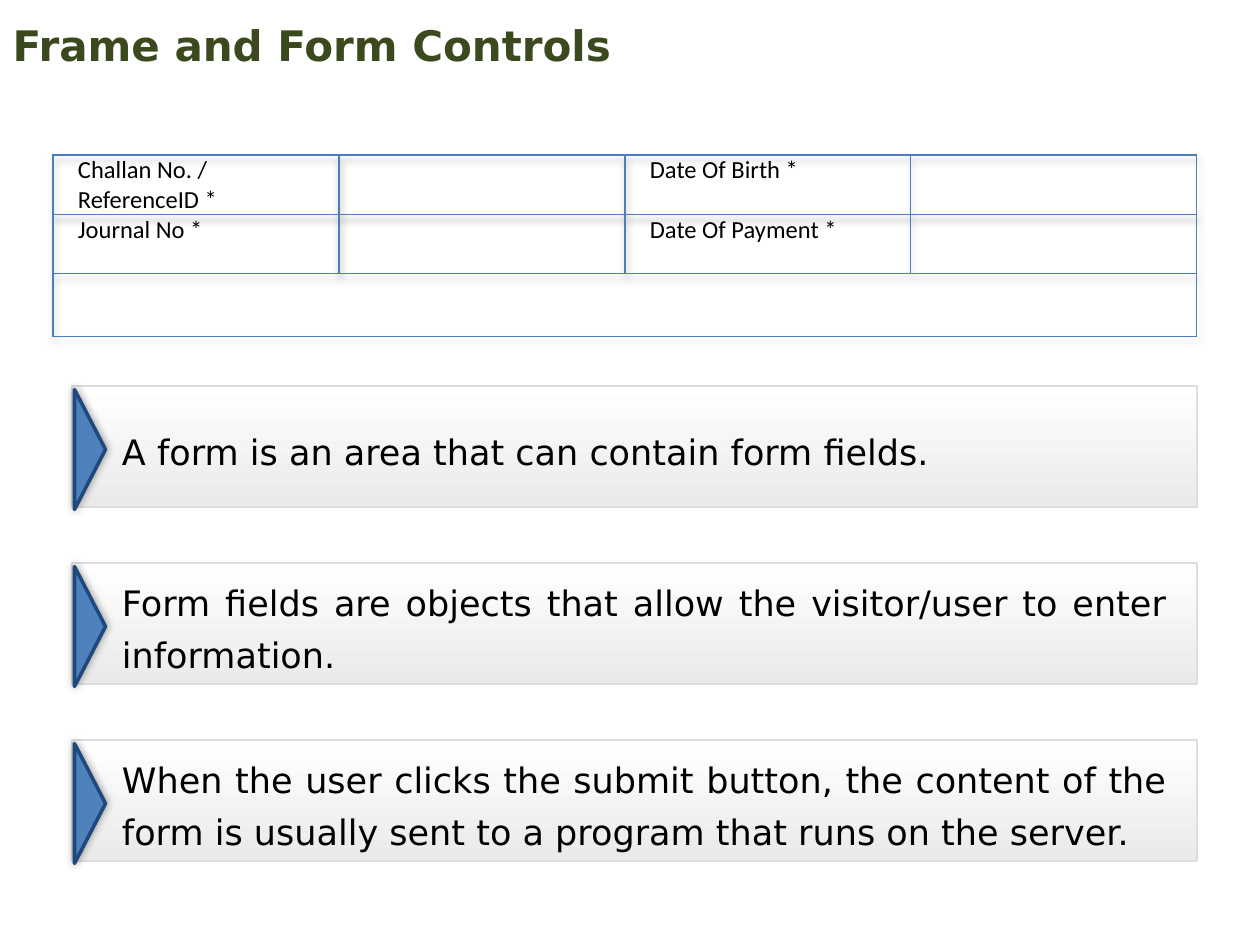
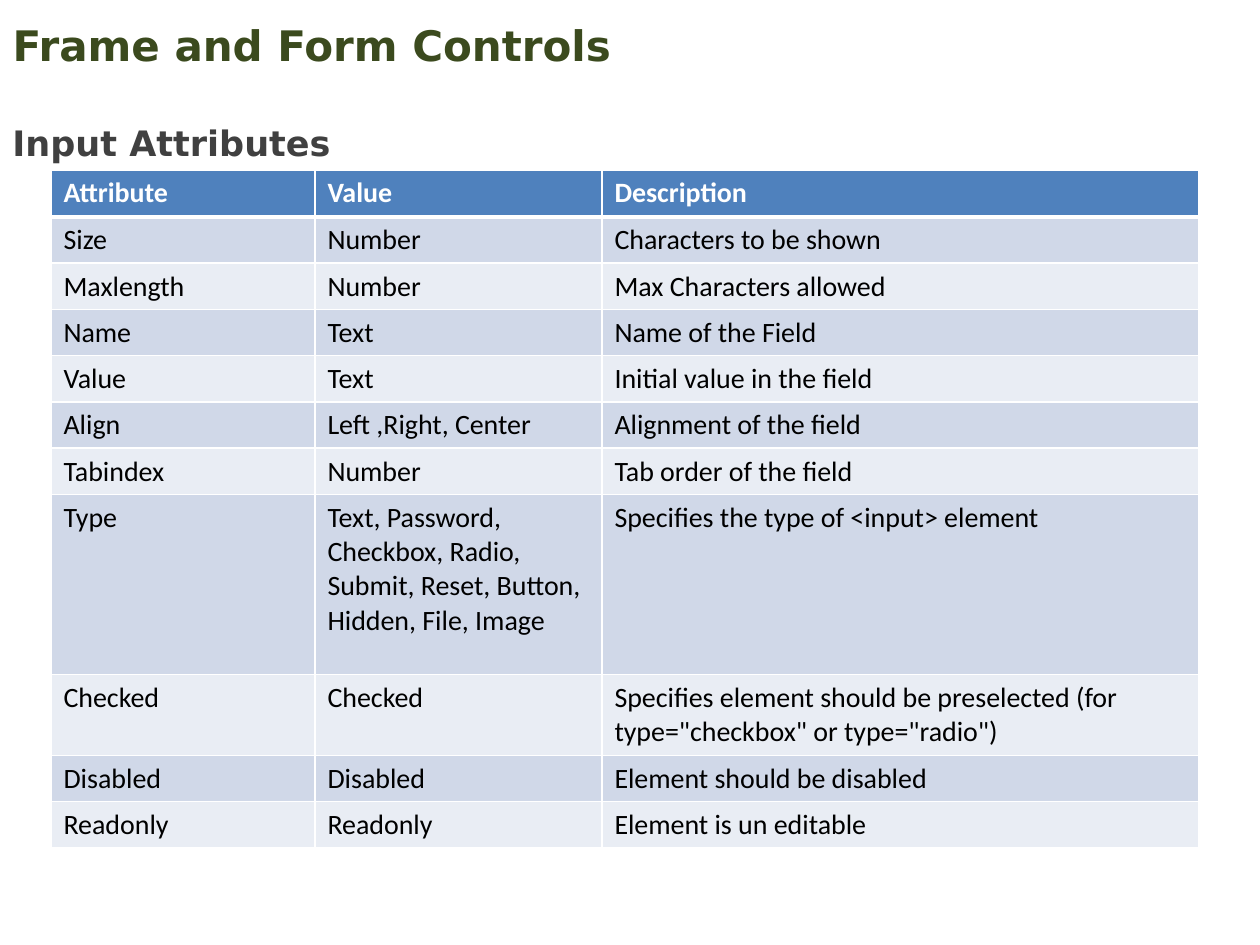
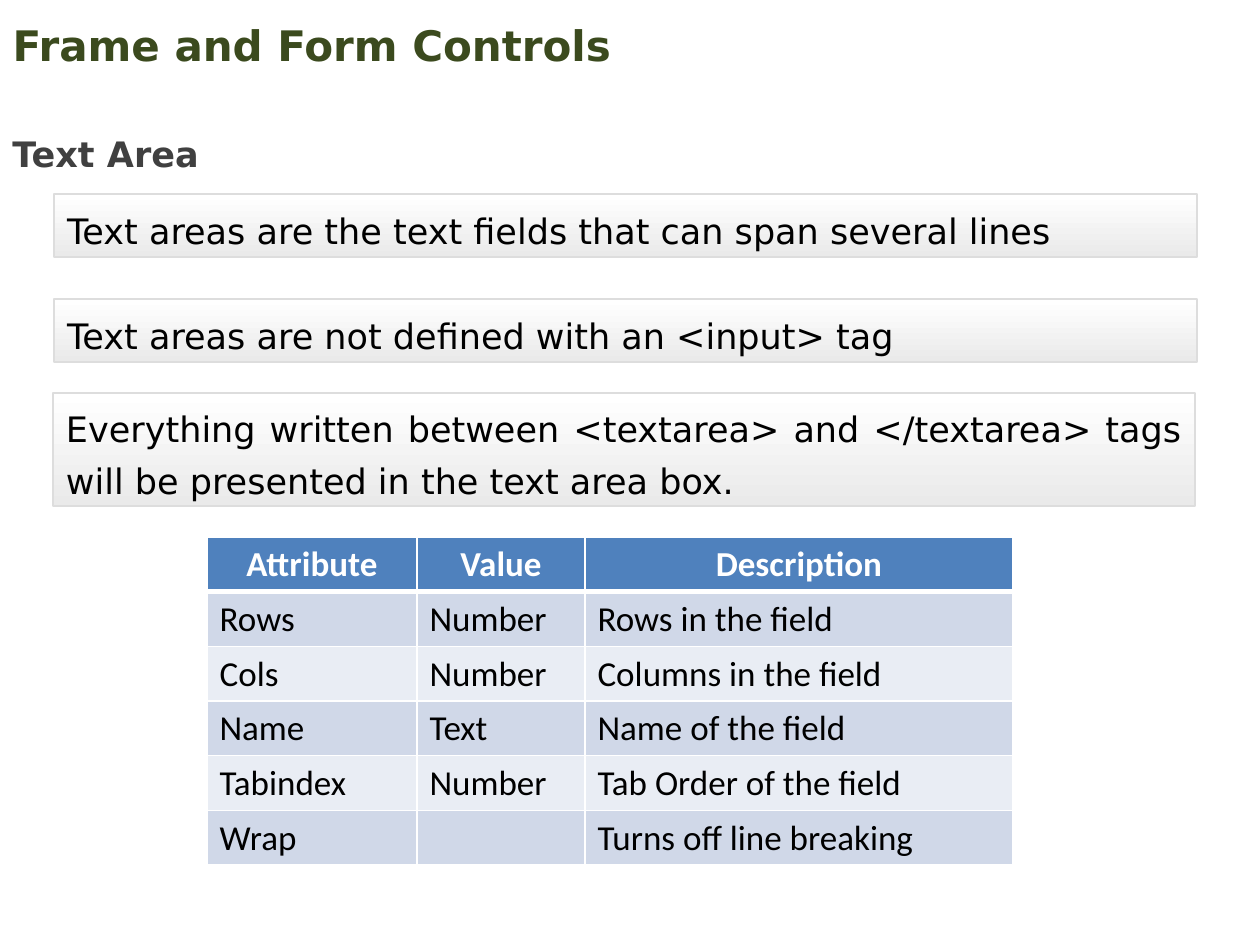
from dataclasses import dataclass
from typing import Optional

from lxml.etree import SubElement
from pptx import Presentation
from pptx.dml.color import RGBColor
from pptx.enum.shapes import MSO_SHAPE
from pptx.enum.text import MSO_ANCHOR, MSO_AUTO_SIZE, PP_ALIGN
from pptx.oxml import parse_xml
from pptx.oxml.ns import nsdecls, qn
from pptx.util import Emu, Pt


@dataclass(frozen=True)
class Theme:
    title: str = "3B4A1E"
    heading: str = "404040"
    text: str = "000000"
    white: str = "FFFFFF"
    accent: str = "4F81BD"
    accent_dark: str = "1F497D"
    form_line: str = "4B7EBC"
    band_dark: str = "D0D8E8"
    band_light: str = "E9EDF4"
    bar_end: str = "EAEAEA"
    bar_line: str = "DDDDDD"
    display_font: str = "DejaVu Sans"
    table_font: str = "Calibri"
    title_size: int = 24
    body_size: int = 20
    grid_size: int = 16
    form_size: int = 14
    bar_leading: int = 30


@dataclass(frozen=True)
class Box:
    x: int
    y: int
    w: int
    h: int


@dataclass(frozen=True)
class Bar:
    box: Box
    text: str
    left: int = 13
    right: int = 30


@dataclass(frozen=True)
class Grid:
    x: int
    y: int
    cols: list[int]
    heights: list[int]
    rows: list[list[str]]
    size: int
    header_align: PP_ALIGN = PP_ALIGN.LEFT


T = Theme()
EMU_PER_PX = 914400 / 126
TITLE = "Frame and Form Controls"
HEADER = ["Attribute", "Value", "Description"]

FORM_ROWS = [
    ["Challan No. / ReferenceID *", "", "Date Of Birth *", ""],
    ["Journal No *", "", "Date Of Payment *", ""],
    ["", "", "", ""],
]
FORM_POINTS = [
    "A form is an area that can contain form fields.",
    "Form fields are objects that allow the visitor/user to enter information.",
    "When the user clicks the submit button, the content of the form is usually "
    "sent to a program that runs on the server.",
]
INPUT_GRID = Grid(51, 170, [264, 287, 597], [47] + [46] * 6 + [180, 81, 46, 46], [
    HEADER,
    ["Size", "Number", "Characters to be shown"],
    ["Maxlength", "Number", "Max Characters allowed"],
    ["Name", "Text", "Name of the Field"],
    ["Value", "Text", "Initial value in the field"],
    ["Align", "Left ,Right, Center", "Alignment of the field"],
    ["Tabindex", "Number", "Tab order of the field"],
    ["Type", "Text, Password, Checkbox, Radio, Submit, Reset, Button, Hidden, File, Image",
     "Specifies the type of <input> element"],
    ["Checked", "Checked",
     'Specifies element should be preselected (for type="checkbox" or type="radio")'],
    ["Disabled", "Disabled", "Element should be disabled"],
    ["Readonly", "Readonly", "Element is un editable"],
], T.grid_size)
AREA_BARS = [
    Bar(Box(54, 194, 1143, 63), "Text areas are the text fields that can span several lines"),
    Bar(Box(54, 299, 1143, 63), "Text areas are not defined with an <input> tag"),
    Bar(Box(53, 393, 1142, 113),
        "Everything written between <textarea> and </textarea> tags will be presented "
        "in the text area box.", right=13),
]
AREA_GRID = Grid(207, 537, [210, 168, 428], [54] * 6, [
    HEADER,
    ["Rows", "Number", "Rows in the field"],
    ["Cols", "Number", "Columns in the field"],
    ["Name", "Text", "Name of the field"],
    ["Tabindex", "Number", "Tab Order of the field"],
    ["Wrap", "", "Turns off line breaking"],
], T.body_size, PP_ALIGN.CENTER)


def px(n: float) -> Emu:
    return Emu(round(n * EMU_PER_PX))


def rgb(color: str) -> RGBColor:
    return RGBColor.from_string(color)


def place(box: Box) -> tuple[Emu, Emu, Emu, Emu]:
    return px(box.x), px(box.y), px(box.w), px(box.h)


def add_run(p, text: str, size: int, color: str, font: str, bold: bool = False) -> None:
    r = p.add_run()
    r.text = text
    r.font.size = Pt(size)
    r.font.name = font
    r.font.bold = bold
    r.font.color.rgb = rgb(color)


def shadow_xml(blur: int, dist: int):
    return parse_xml(
        f'<a:effectLst {nsdecls("a")}><a:outerShdw blurRad="{Pt(blur)}" dist="{Pt(dist)}" '
        'dir="5400000" rotWithShape="0"><a:srgbClr val="000000"><a:alpha val="40000"/>'
        '</a:srgbClr></a:outerShdw></a:effectLst>')


def add_titled_slide(prs):
    s = prs.slides.add_slide(prs.slide_layouts[5])
    sp = s.shapes.title
    sp.left, sp.top, sp.width, sp.height = place(Box(0, 18, 1134, 54))
    tf = sp.text_frame
    tf.word_wrap = True
    tf.auto_size = MSO_AUTO_SIZE.NONE
    tf.vertical_anchor = MSO_ANCHOR.MIDDLE
    p = tf.paragraphs[0]
    p.alignment = PP_ALIGN.LEFT
    add_run(p, TITLE, T.title_size, T.title, T.display_font, True)
    return s


def add_heading(s, text: str, y: int) -> None:
    tf = s.shapes.add_textbox(*place(Box(0, y, 485, 68))).text_frame
    tf.word_wrap = True
    tf.auto_size = MSO_AUTO_SIZE.SHAPE_TO_FIT_TEXT
    p = tf.paragraphs[0]
    p.line_spacing = 1.5
    add_run(p, text, T.body_size, T.heading, T.display_font, True)


def add_bar(shapes, bar: Bar) -> None:
    sp = shapes.add_shape(MSO_SHAPE.RECTANGLE, *place(bar.box))
    sp.shadow.inherit = False
    sp.fill.gradient()
    sp.fill.gradient_angle = 270
    for stop, color, position in zip(sp.fill.gradient_stops, (T.white, T.bar_end), (0, 1)):
        stop.color.rgb = rgb(color)
        stop.position = position
    sp.line.color.rgb = rgb(T.bar_line)
    sp.line.width = Pt(1)
    tf = sp.text_frame
    tf.word_wrap = True
    tf.vertical_anchor = MSO_ANCHOR.MIDDLE
    tf.margin_left, tf.margin_right = px(bar.left), px(bar.right)
    tf.margin_top = tf.margin_bottom = 0
    p = tf.paragraphs[0]
    p.alignment = PP_ALIGN.JUSTIFY
    p.line_spacing = Pt(T.bar_leading)
    add_run(p, bar.text, T.body_size, T.text, T.display_font)


def add_pointed_bar(s, bar: Bar) -> None:
    group = s.shapes.add_group_shape()
    add_bar(group.shapes, bar)
    sp = group.shapes.add_shape(
        MSO_SHAPE.ISOSCELES_TRIANGLE, *place(Box(bar.box.x - 42, bar.box.y + 48, 120, 31)))
    sp.rotation = 90
    sp.fill.solid()
    sp.fill.fore_color.rgb = rgb(T.accent)
    sp.line.color.rgb = rgb(T.accent_dark)
    sp.line.width = Pt(2)
    sp._element.spPr.append(shadow_xml(5, 0))


def style_cell(cell, fill: Optional[str], line: str, width: float,
               top: Optional[float] = None, bottom: Optional[float] = None) -> None:
    tcPr = cell._tc.get_or_add_tcPr()
    sides = {"L": width, "R": width, "T": top or width, "B": bottom or width}
    for side, points in sides.items():
        ln = SubElement(tcPr, qn(f"a:ln{side}"), w=str(Pt(points)))
        SubElement(SubElement(ln, qn("a:solidFill")), qn("a:srgbClr"), val=line)
    if fill:
        cell.fill.solid()
        cell.fill.fore_color.rgb = rgb(fill)
    else:
        cell.fill.background()


def add_sized_table(s, x: int, y: int, cols: list[int], heights: list[int]):
    box = Box(x, y, sum(cols), sum(heights))
    table = s.shapes.add_table(len(heights), len(cols), *place(box)).table
    table.horz_banding = False
    for column, width in zip(table.columns, cols):
        column.width = px(width)
    for row, height in zip(table.rows, heights):
        row.height = px(height)
    return table


def add_grid(s, grid: Grid) -> None:
    table = add_sized_table(s, grid.x, grid.y, grid.cols, grid.heights)
    for i, row in enumerate(grid.rows):
        header = i == 0
        fill = T.accent if header else (T.band_dark if i % 2 else T.band_light)
        for j, text in enumerate(row):
            cell = table.cell(i, j)
            style_cell(cell, fill, T.white, 1, top=3 if i == 1 else None,
                       bottom=3 if header else None)
            if text:
                p = cell.text_frame.paragraphs[0]
                p.alignment = grid.header_align if header else PP_ALIGN.LEFT
                add_run(p, text, grid.size, T.white if header else T.text,
                        T.table_font, header)


def add_form(s) -> None:
    table = add_sized_table(s, 53, 155, [286] * 4, [59, 59, 63])
    table.first_row = False
    table._tbl.tblPr.insert(0, shadow_xml(4, 2))
    for i, row in enumerate(FORM_ROWS):
        for j, text in enumerate(row):
            cell = table.cell(i, j)
            style_cell(cell, None, T.form_line, 0.75)
            if text:
                cell.margin_left = cell.margin_right = px(25)
                cell.margin_top = cell.margin_bottom = 0
                cell.vertical_anchor = MSO_ANCHOR.TOP
                add_run(cell.text_frame.paragraphs[0], text, T.form_size, T.text, T.table_font)
    table.cell(2, 0).merge(table.cell(2, 3))


def form_slide(prs) -> None:
    s = add_titled_slide(prs)
    add_form(s)
    for i, text in enumerate(FORM_POINTS):
        add_pointed_bar(s, Bar(Box(72, 386 + 177 * i, 1125, 121), text, left=50))


def input_slide(prs) -> None:
    s = add_titled_slide(prs)
    add_heading(s, "Input Attributes", 94)
    add_grid(s, INPUT_GRID)


def text_area_slide(prs) -> None:
    s = add_titled_slide(prs)
    add_heading(s, "Text Area", 105)
    for bar in AREA_BARS:
        add_bar(s.shapes, bar)
    add_grid(s, AREA_GRID)


def main() -> None:
    prs = Presentation()
    prs.slide_width, prs.slide_height = px(1260), px(945)
    form_slide(prs)
    input_slide(prs)
    text_area_slide(prs)
    prs.save("out.pptx")


if __name__ == "__main__":
    main()
